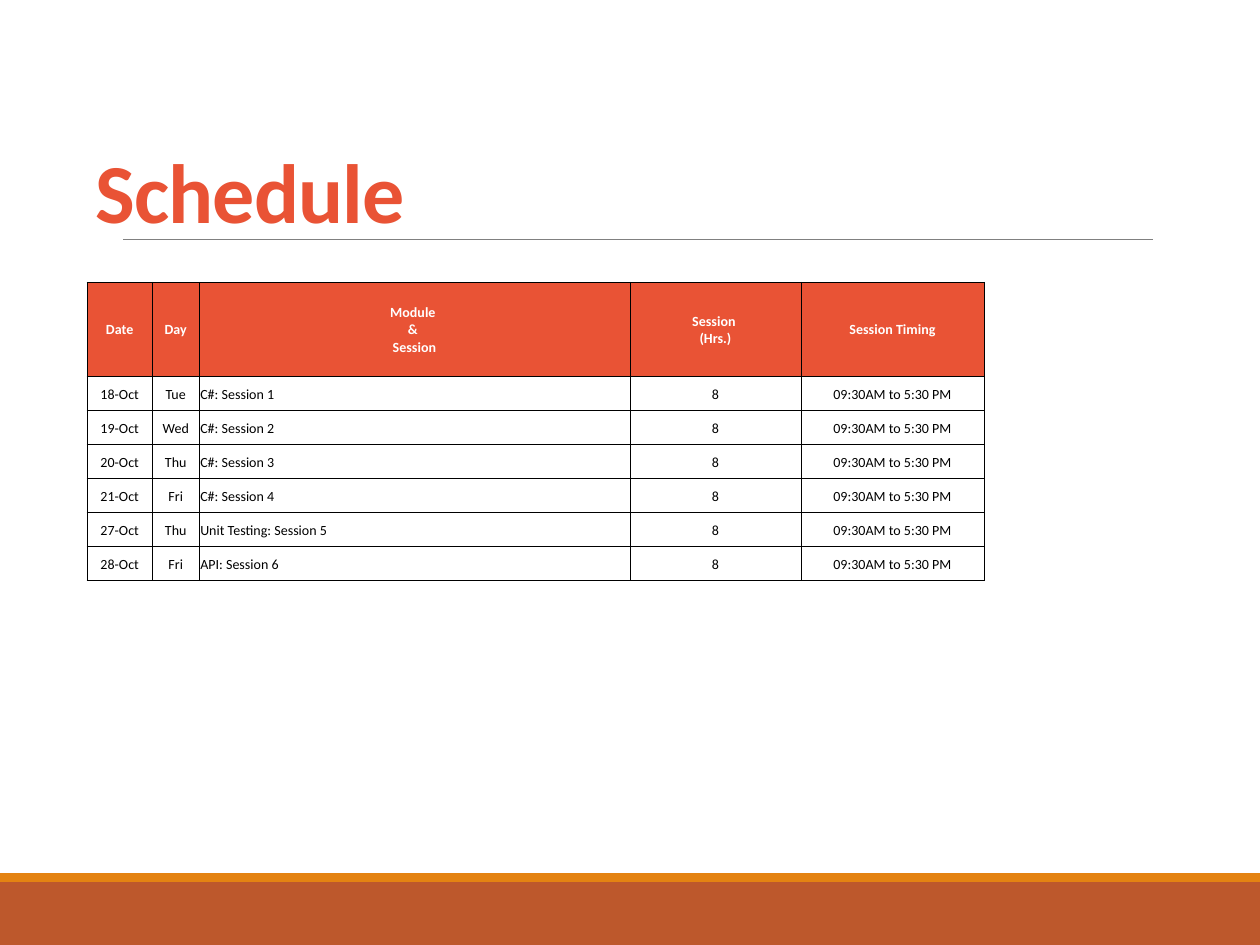
import pptx
import pptx.dml.color
import pptx.enum.shapes
import pptx.enum.text
import pptx.oxml
import pptx.oxml.ns
import pptx.util
from pptx.util import Inches

RGBColor = pptx.dml.color.RGBColor
RUST = RGBColor(0xBD, 0x58, 0x2C)
ORANGE = RGBColor(0xE4, 0x83, 0x12)
CORAL = RGBColor(0xE9, 0x53, 0x35)
GRAY = RGBColor(0x80, 0x80, 0x80)
BLACK = RGBColor(0, 0, 0)
WHITE = RGBColor(0xFF, 0xFF, 0xFF)
FONT = "Calibri"

HEADINGS = ["Date", "Day", "Module \v& \vSession", "Session \v(Hrs.)", "Session Timing"]
SESSIONS = [
    ("18-Oct", "Tue", "C#: Session 1"),
    ("19-Oct", "Wed", "C#: Session 2"),
    ("20-Oct", "Thu", "C#: Session 3"),
    ("21-Oct", "Fri", "C#: Session 4"),
    ("27-Oct", "Thu", "Unit Testing: Session 5"),
    ("28-Oct", "Fri", "API: Session 6"),
]
HOURS = "8"
TIMING = "09:30AM to 5:30 PM"
COLUMN_WIDTHS = [0.52, 0.37, 3.42, 1.36, 1.45]
MODULE_COLUMN = 2
HEADER_HEIGHT, ROW_HEIGHT = 0.75, 0.27


def style_runs(para, size, color, bold):
    for span in para.runs:
        span.font.name = FONT
        span.font.size = pptx.util.Pt(size)
        span.font.bold = bold
        span.font.color.rgb = color


def add_band(page, left, top, width, height, color):
    band = page.shapes.add_shape(
        pptx.enum.shapes.MSO_SHAPE.RECTANGLE,
        Inches(left), Inches(top), Inches(width), Inches(height))
    band.shadow.inherit = False
    band.fill.solid()
    band.fill.fore_color.rgb = color
    band.line.fill.background()


def add_footer(page, left, top, width, height):
    stripe = 0.07
    add_band(page, left, top + stripe, width, height - stripe, RUST)
    add_band(page, left, top, width, stripe, ORANGE)


def add_rule(page, left, top, width):
    rule = page.shapes.add_connector(
        pptx.enum.shapes.MSO_CONNECTOR.STRAIGHT,
        Inches(left), Inches(top), Inches(left + width), Inches(top))
    rule.line.color.rgb = GRAY
    rule.line.width = pptx.util.Pt(0.5)
    properties = rule._element.spPr
    properties.append(pptx.oxml.parse_xml(
        f"<a:effectLst {pptx.oxml.ns.nsdecls('a')}/>"))


def add_title(page, left, top, width, height):
    box = page.shapes.add_textbox(
        Inches(left), Inches(top), Inches(width), Inches(height))
    frame = box.text_frame
    frame.word_wrap = True
    frame.vertical_anchor = pptx.enum.text.MSO_ANCHOR.BOTTOM
    frame.margin_left = frame.margin_right = Inches(0.07)
    frame.margin_top = frame.margin_bottom = Inches(0.04)
    frame.text = "Schedule"
    para = frame.paragraphs[0]
    para.line_spacing = 0.85
    style_runs(para, 48, CORAL, True)
    # Tighten the letter spacing by half a point
    para.runs[0].font._element.set("spc", "-50")


def add_borders(cell):
    properties = cell._tc.get_or_add_tcPr()
    for side in ("lnL", "lnR", "lnT", "lnB"):
        properties.append(pptx.oxml.parse_xml(
            f'<a:{side} {pptx.oxml.ns.nsdecls("a")} w="{pptx.util.Pt(0.5)}">'
            f'<a:solidFill><a:srgbClr val="{BLACK}"/></a:solidFill></a:{side}>'))


def fill_cell(cell, text, is_header, centered):
    cell.margin_left = cell.margin_right = cell.margin_top = Inches(0.01)
    cell.margin_bottom = 0
    cell.vertical_anchor = pptx.enum.text.MSO_ANCHOR.MIDDLE
    add_borders(cell)
    if is_header:
        cell.fill.solid()
        cell.fill.fore_color.rgb = CORAL
    else:
        cell.fill.background()
    # A vertical tab becomes a line break inside the paragraph
    cell.text_frame.text = text
    para = cell.text_frame.paragraphs[0]
    align = pptx.enum.text.PP_ALIGN
    para.alignment = align.CENTER if centered else align.LEFT
    style_runs(para, 8, WHITE if is_header else BLACK, is_header)


def add_schedule(page, left, top, width, height):
    rows = [HEADINGS] + [[*session, HOURS, TIMING] for session in SESSIONS]
    table = page.shapes.add_table(
        len(rows), len(HEADINGS),
        Inches(left), Inches(top), Inches(width), Inches(height)).table
    table.horz_banding = False
    for column, column_width in zip(table.columns, COLUMN_WIDTHS):
        column.width = Inches(column_width)
    for row_index, texts in enumerate(rows):
        is_header = row_index == 0
        table.rows[row_index].height = Inches(HEADER_HEIGHT if is_header else ROW_HEIGHT)
        for column_index, text in enumerate(texts):
            centered = is_header or column_index != MODULE_COLUMN
            fill_cell(table.cell(row_index, column_index), text, is_header, centered)


def main():
    deck = pptx.Presentation()
    deck.slide_width, deck.slide_height = Inches(10), Inches(7.5)
    page = deck.slides.add_slide(deck.slide_layouts[6])
    add_footer(page, 0, 6.93, 10, 0.57)
    add_rule(page, 0.98, 1.9, 8.17)
    add_title(page, 0.69, 1.18, 8.62, 0.77)
    add_schedule(page, 0.69, 2.24, sum(COLUMN_WIDTHS),
                 HEADER_HEIGHT + len(SESSIONS) * ROW_HEIGHT)
    deck.save("out.pptx")


if __name__ == "__main__":
    main()
